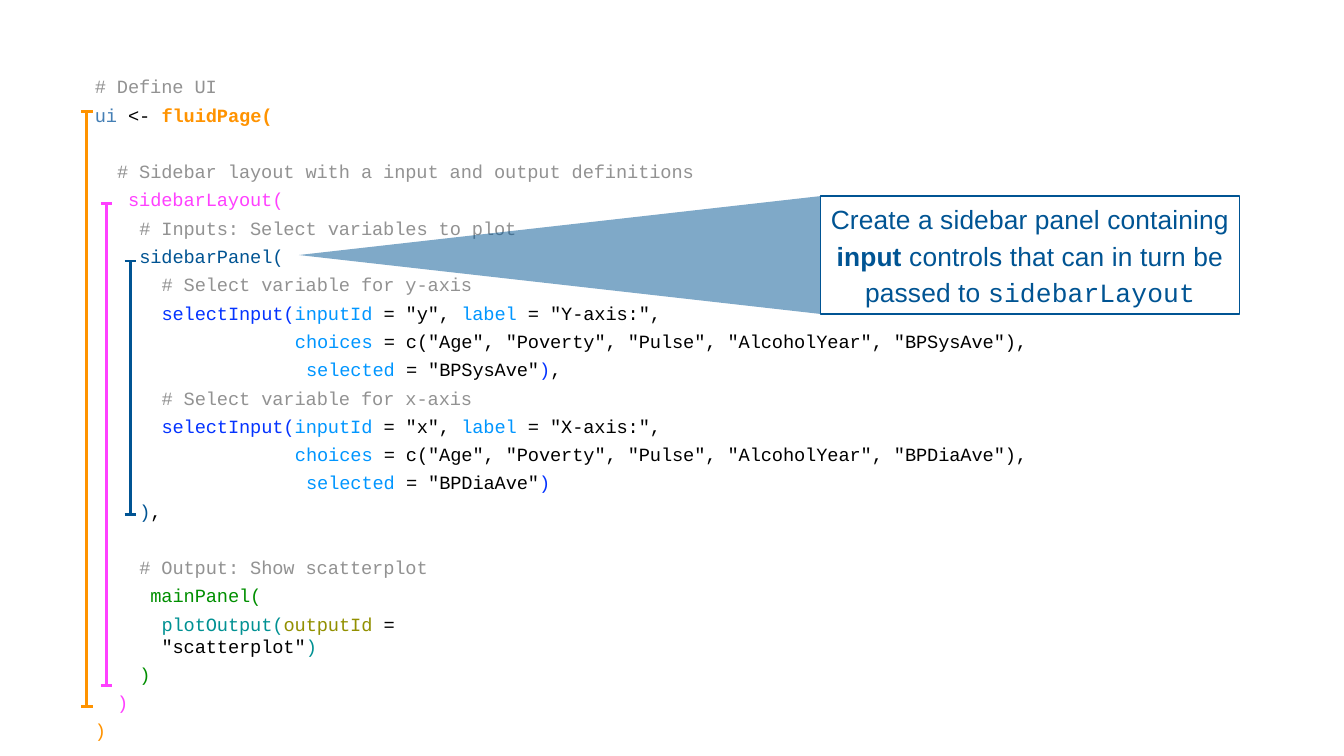
from collections import namedtuple
from lxml import etree
from pptx import Presentation
from pptx.dml.color import RGBColor
from pptx.enum.shapes import MSO_CONNECTOR as Connector, MSO_SHAPE as Shape
from pptx.enum.text import MSO_ANCHOR as Anchor, PP_ALIGN as Align
from pptx.oxml.ns import qn
from pptx.util import Cm, Pt

Box = namedtuple("Box", "left top width height")

BLACK, GREY, STEEL = "000000", "929292", "447FB5"
ORANGE, PINK, NAVY = "FF9300", "FF40FF", "005493"
BLUE, SKY = "0433FF", "0096FF"
GREEN, TEAL, OLIVE = "008F00", "009193", "929000"

CODE_FONT = "Courier New"
CODE_PITCH = Pt(33.3)
WRAP_PITCH = Pt(26)
CHAR_WIDTH = Pt(13.1)


def paint(target, color):
    """Give a fill, line or font one solid colour."""
    if hasattr(target, "solid"):
        target.solid()
        target.fore_color.rgb = RGBColor.from_string(color)
    else:
        target.color.rgb = RGBColor.from_string(color)


def add_run(para, text, color, font, size, spacing, bold=False):
    span = para.add_run()
    span.text = text
    span.font.name, span.font.size, span.font.bold = font, Pt(size), bold
    paint(span.font, color)
    span.font._element.set("spc", str(spacing))


def set_frame(frame):
    frame.word_wrap = True
    frame.vertical_anchor = Anchor.TOP
    frame.margin_left = frame.margin_right = frame.margin_bottom = 0
    frame.margin_top = Cm(0.1)


# Code: each line is (column, spans, pitch, blank lines before)
def line(column, *spans, pitch=CODE_PITCH, blank=0):
    return column, spans, pitch, blank


def select_input(axis, label):
    return line(6, ("selectInput(", BLUE), ("inputId ", SKY), (f'= "{axis}", ', BLACK),
                ("label ", SKY), (f'= "{label}",', BLACK))


def choices(selected, *closing):
    """The two lines that list the variables and pick one."""
    names = f'= c("Age", "Poverty", "Pulse", "AlcoholYear", "{selected}"),'
    return [line(18, ("choices ", SKY), (names, BLACK)),
            line(19, ("selected ", SKY), (f'= "{selected}"', BLACK), (")", BLUE), *closing)]


def code_block(page, box, first_column, lines):
    frame = page.shapes.add_textbox(*box).text_frame
    set_frame(frame)
    for index, (column, spans, pitch, blank) in enumerate(lines):
        para = frame.paragraphs[0] if index == 0 else frame.add_paragraph()
        para._p.get_or_add_pPr().set("marL", str((column - first_column) * CHAR_WIDTH))
        para.line_spacing = pitch
        if blank:
            para.space_before = blank * CODE_PITCH
        for text, color, *bold in spans:
            add_run(para, text, color, CODE_FONT, 22, -10, bool(bold))


def code_listing(page, box):
    define_ui = [
        line(0, ("# Define UI", GREY)),
        line(0, ("ui ", STEEL), ("<- ", BLACK), ("fluidPage(", ORANGE, True)),
    ]
    layout = [
        line(2, ("# Sidebar layout with a input and output definitions", GREY)),
        line(3, ("sidebarLayout(", PINK)),
        line(4, ("# Inputs: Select variables to plot", GREY)),
    ]
    sidebar = [
        line(4, ("sidebarPanel(", NAVY)),
        line(6, ("# Select variable for y-axis", GREY)),
        select_input("y", "Y-axis:"),
    ]
    remainder = [
        *choices("BPSysAve", (",", BLACK)),
        line(6, ("# Select variable for x-axis", GREY)),
        select_input("x", "X-axis:"),
        *choices("BPDiaAve"),
        line(4, (")", NAVY), (",", BLACK)),
        line(4, ("# Output: Show scatterplot", GREY), blank=1),
        line(5, ("mainPanel(", GREEN)),
        line(6, ("plotOutput(", TEAL), ("outputId ", OLIVE), ("=", BLACK)),
        line(6, ('"scatterplot"', BLACK), (")", TEAL), pitch=WRAP_PITCH),
        line(4, (")", GREEN)),
        line(2, (")", PINK)),
        line(0, (")", ORANGE)),
    ]
    # Sections start three code lines apart: (column, width, height, lines)
    sections = [(0, 7.5, 2.5, define_ui), (2, 24.3, 3.5, layout),
                (4, 22, 3.5, sidebar), (0, 39.1, 16.5, remainder)]
    for index, (column, width, height, lines) in enumerate(sections):
        section = Box(box.left + column * CHAR_WIDTH, box.top + index * Cm(3.53),
                      Cm(width), Cm(height))
        code_block(page, section, column, lines)


def scope_bracket(page, box, color):
    """A vertical bar with a cap at each end."""
    right, bottom = box.left + box.width, box.top + box.height
    middle = box.left + box.width // 2
    group = page.shapes.add_group_shape()
    for ends in ((middle, box.top, middle, bottom),
                 (box.left, box.top, right, box.top),
                 (box.left, bottom, right, bottom)):
        bar = group.shapes.add_connector(Connector.STRAIGHT, *ends)
        paint(bar.line, color)
        bar.line.width = Pt(3.3)
        etree.SubElement(bar._element.spPr, qn("a:effectLst"))


def callout(page, box, tip):
    # Framed text
    note = page.shapes.add_shape(Shape.RECTANGLE, *box)
    note.shadow.inherit = False
    note.fill.background()
    paint(note.line, NAVY)
    note.line.width = Pt(1.65)
    set_frame(note.text_frame)
    para = note.text_frame.paragraphs[0]
    para.alignment = Align.CENTER
    para.line_spacing = Pt(42.9)
    for text, font, bold in (("Create a sidebar panel containing ", "Arial", False),
                             ("input ", "Arial", True),
                             ("controls that can in turn be passed to ", "Arial", False),
                             ("sidebarLayout", CODE_FONT, False)):
        add_run(para, text, NAVY, font, 31, 20, bold)

    # Translucent pointer from the frame to the code
    outline = page.shapes.build_freeform(box.left, box.top)
    outline.add_line_segments([tip, (box.left, box.top + box.height)], close=True)
    pointer = outline.convert_to_shape()
    pointer.shadow.inherit = False
    paint(pointer.fill, NAVY)
    pointer.line.fill.background()
    tint = pointer._element.spPr.find(qn("a:solidFill"))[0]
    etree.SubElement(tint, qn("a:alpha"), val="50000")


def main():
    deck = Presentation()
    deck.slide_width, deck.slide_height = Cm(55.85), Cm(31.42)
    page = deck.slides.add_slide(deck.slide_layouts[6])

    code_listing(page, Box(Cm(3.94), Cm(2.78), Cm(39.1), Cm(27.1)))
    for left, top, height, color in ((3.37, 4.65, 24.7, ORANGE),
                                     (4.19, 8.46, 20.03, PINK),
                                     (5.18, 10.85, 10.54, NAVY)):
        scope_bracket(page, Box(Cm(left), Cm(top), Cm(0.48), Cm(height)), color)
    callout(page, Box(Cm(34.1), Cm(8.15), Cm(17.42), Cm(4.9)), (Cm(12.42), Cm(10.6)))

    deck.save("out.pptx")


if __name__ == "__main__":
    main()
